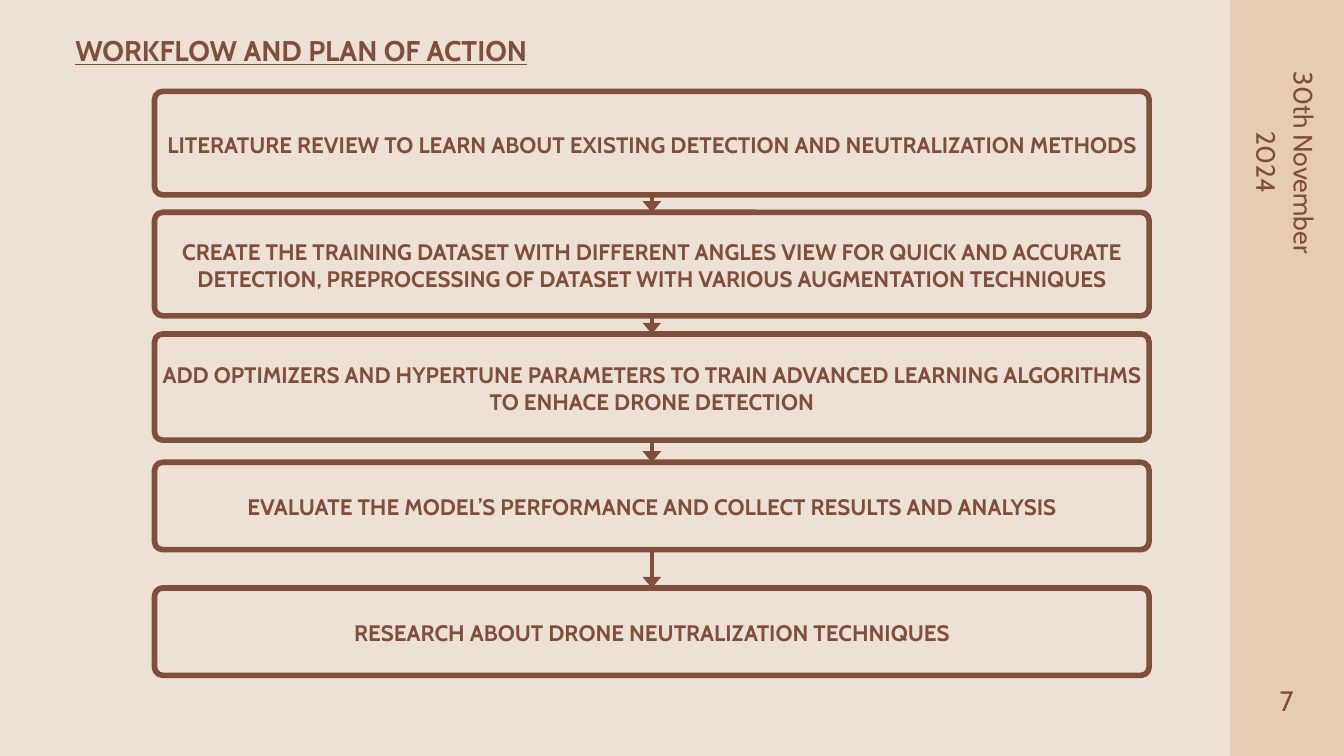
from itertools import pairwise

from lxml.etree import SubElement
from pptx import Presentation
from pptx.dml.color import RGBColor
from pptx.enum.shapes import MSO_CONNECTOR, MSO_SHAPE
from pptx.enum.text import MSO_ANCHOR, PP_ALIGN
from pptx.oxml.ns import qn
from pptx.util import Inches, Pt

CREAM = RGBColor(0xED, 0xE0, 0xD4)
SAND = RGBColor(0xE6, 0xCC, 0xB2)
BROWN = RGBColor(0x80, 0x4F, 0x3B)
FONT = "Cabin"

STEP_LEFT, STEP_WIDTH, CORNER = 2.3, 14.8, 0.12
STEPS = [
    (1.36, 1.54, "LITERATURE REVIEW TO LEARN ABOUT EXISTING DETECTION AND NEUTRALIZATION METHODS"),
    (3.16, 1.54, "CREATE THE TRAINING DATASET WITH DIFFERENT ANGLES VIEW FOR QUICK AND ACCURATE "
                 "DETECTION, PREPROCESSING OF DATASET WITH VARIOUS AUGMENTATION TECHNIQUES"),
    (4.97, 1.58, "ADD OPTIMIZERS AND HYPERTUNE PARAMETERS TO TRAIN ADVANCED LEARNING ALGORITHMS "
                 "TO ENHACE DRONE DETECTION"),
    (6.88, 1.3, "EVALUATE THE MODEL’S PERFORMANCE AND COLLECT RESULTS AND ANALYSIS"),
    (8.75, 1.3, "RESEARCH ABOUT DRONE NEUTRALIZATION TECHNIQUES"),
]


def write_text(shape, text, size, spacing, align, bold=False, underline=False, insets=(0, 0, 0, 0)):
    """Fill a shape with evenly formatted paragraphs."""
    frame = shape.text_frame
    frame.text = text
    frame.word_wrap = True
    frame.margin_left, frame.margin_top, frame.margin_right, frame.margin_bottom = map(Inches, insets)
    for paragraph in frame.paragraphs:
        paragraph.alignment = align
        paragraph.line_spacing = Pt(spacing)
        for span in paragraph.runs:
            span.font.name = FONT
            span.font.size = Pt(size)
            span.font.bold = bold
            span.font.underline = underline
            span.font.color.rgb = BROWN


def add_label(page, left, top, width, height, text, size, spacing, align, rotation=0, **style):
    """Add a plain text box, optionally rotated."""
    box = page.shapes.add_textbox(Inches(left), Inches(top), Inches(width), Inches(height))
    box.rotation = rotation
    write_text(box, text, size, spacing, align, **style)


def add_side_band(page):
    """Add the coloured band along the right edge."""
    band = page.shapes.add_shape(MSO_SHAPE.RECTANGLE, Inches(18.31), 0, Inches(1.69), Inches(11.25))
    band.shadow.inherit = False
    band.fill.solid()
    band.fill.fore_color.rgb = SAND
    band.line.fill.background()


def add_step(page, top, height, text):
    """Add one outlined workflow step with its wording."""
    step = page.shapes.add_shape(
        MSO_SHAPE.ROUNDED_RECTANGLE, Inches(STEP_LEFT), Inches(top), Inches(STEP_WIDTH), Inches(height)
    )
    step.adjustments[0] = CORNER / height
    step.shadow.inherit = False
    step.fill.background()
    step.line.color.rgb = BROWN
    step.line.width = Pt(6)
    step.text_frame.vertical_anchor = MSO_ANCHOR.MIDDLE
    write_text(step, text, 24, 28.1, PP_ALIGN.CENTER, bold=True, insets=(0.02, 0.04, 0.02, 0))


def add_arrow(page, start, end):
    """Add a downward arrow on the centre line of the steps."""
    centre = Inches(STEP_LEFT + STEP_WIDTH / 2)
    arrow = page.shapes.add_connector(MSO_CONNECTOR.STRAIGHT, centre, Inches(start), centre, Inches(end))
    arrow.line.color.rgb = BROWN
    arrow.line.width = Pt(4)
    SubElement(arrow.line._get_or_add_ln(), qn("a:tailEnd"), type="triangle", w="lg", len="med")
    SubElement(arrow._element.spPr, qn("a:effectLst"))


def main():
    """Build the workflow slide and save it."""
    deck = Presentation()
    deck.slide_width, deck.slide_height = Inches(20), Inches(11.25)
    page = deck.slides.add_slide(deck.slide_layouts[6])
    page.background.fill.solid()
    page.background.fill.fore_color.rgb = CREAM

    add_side_band(page)
    add_label(page, 1.12, 0.51, 7.38, 0.98, "WORKFLOW AND PLAN OF ACTION", 30.5, 35.6,
              PP_ALIGN.JUSTIFY, bold=True, underline=True)
    add_label(page, 18.5, 10, 0.75, 0.62, "7", 30, 48, PP_ALIGN.RIGHT)
    add_label(page, 17.44, 1.88, 3.49, 1.08, "30th November\n2024", 28.5, 39.9,
              PP_ALIGN.CENTER, rotation=90)
    for top, height, text in STEPS:
        add_step(page, top, height, text)
    for (top, height, _), (next_top, _, _) in pairwise(STEPS):
        add_arrow(page, top + height, next_top)

    deck.save("out.pptx")


if __name__ == "__main__":
    main()
